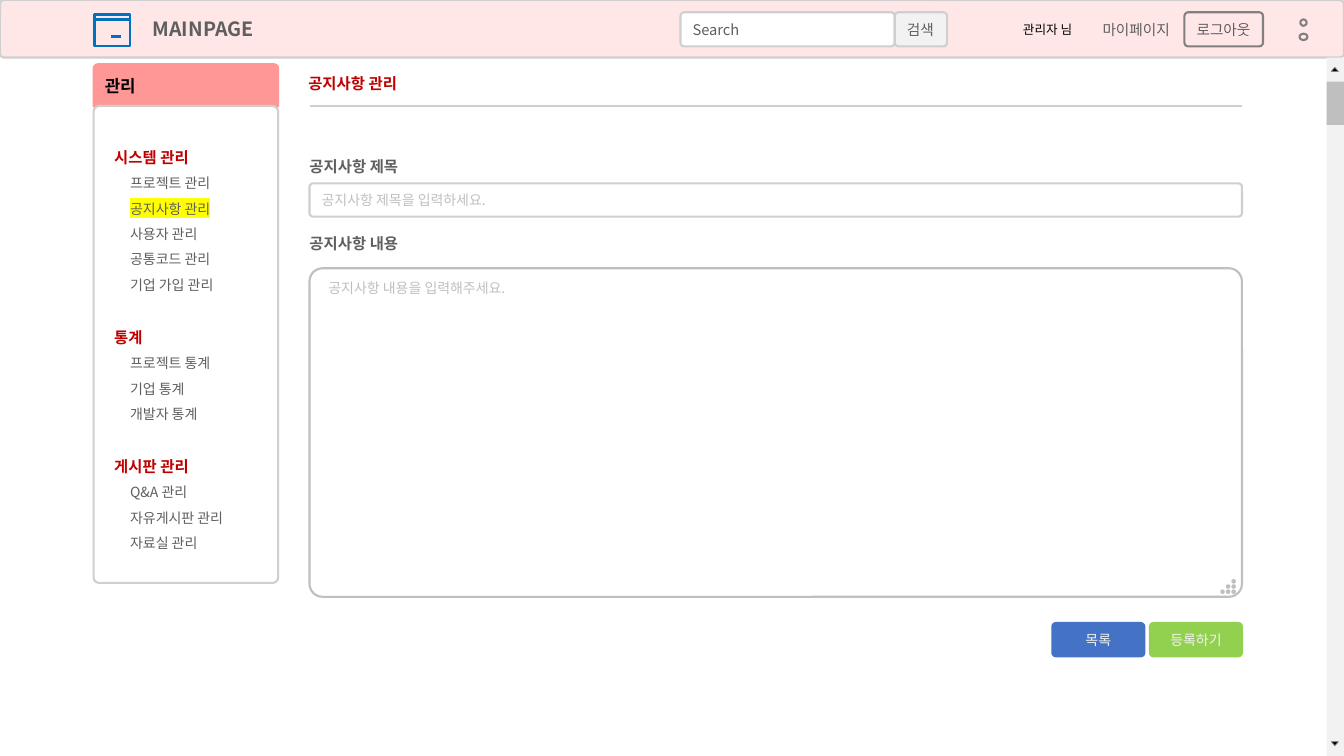
from lxml import etree
from pptx import Presentation
from pptx.dml.color import RGBColor
from pptx.enum.shapes import MSO_CONNECTOR, MSO_SHAPE
from pptx.enum.text import MSO_ANCHOR, PP_ALIGN
from pptx.oxml.ns import qn
from pptx.util import Cm, Pt

FONT = "Noto Sans CJK KR"
ROUND, RECT, TOP_ROUND = MSO_SHAPE.ROUNDED_RECTANGLE, MSO_SHAPE.RECTANGLE, MSO_SHAPE.ROUND_2_SAME_RECTANGLE
OVAL, TRIANGLE = MSO_SHAPE.OVAL, MSO_SHAPE.ISOSCELES_TRIANGLE
TOP, MIDDLE = MSO_ANCHOR.TOP, MSO_ANCHOR.MIDDLE
LEFT, CENTER = PP_ALIGN.LEFT, PP_ALIGN.CENTER

BLACK, WHITE = RGBColor(0, 0, 0), RGBColor(255, 255, 255)
TEXT = RGBColor(0x5F, 0x5F, 0x5F)
RED = RGBColor(0xC0, 0, 0)
SALMON = RGBColor(0xFF, 0x97, 0x97)
PINK = RGBColor(0xFF, 0xE7, 0xE7)
BORDER = RGBColor(0xD0, 0xCE, 0xCE)
SILVER = RGBColor(0xBF, 0xBF, 0xBF)
GRAY = RGBColor(0x80, 0x80, 0x80)
PALE = RGBColor(0xF2, 0xF2, 0xF2)
BLUE = RGBColor(0x44, 0x72, 0xC4)
GREEN = RGBColor(0x92, 0xD0, 0x50)
ICON_BLUE = RGBColor(0, 0x70, 0xC0)

MENU_TITLE = "관리"
MENU = [
    ("시스템 관리", ["프로젝트 관리", "공지사항 관리", "사용자 관리", "공통코드 관리", "기업 가입 관리"]),
    ("통계", ["프로젝트 통계", "기업 통계", "개발자 통계"]),
    ("게시판 관리", ["Q&A 관리", "자유게시판 관리", "자료실 관리"]),
]
CURRENT = "공지사항 관리"
# text, left, width, fill, line
HEADER_BOXES = [
    ("Search", 17.15, 5.4, WHITE, BORDER),
    ("검색", 22.55, 1.32, PALE, BORDER),
    ("로그아웃", 29.85, 1.98, PINK, GRAY),
    ("마이페이지", 27.48, 2.3, PINK, None),
]
BUTTONS = [("목록", 26.52, BLUE), ("등록하기", 28.98, GREEN)]
# text, top
FIELD_LABELS = [("공지사항 제목", 3.96), ("공지사항 내용", 5.89)]

SLIDE_W, SLIDE_H = 33.87, 19.05
HEADER_H = 1.45
MENU_X, MENU_W = 2.36, 4.65
MAIN_X, MAIN_W = 7.8, 23.5
BAR_X, BAR_W = 33.43, 0.44

prs = Presentation()
prs.slide_width, prs.slide_height = Cm(SLIDE_W), Cm(SLIDE_H)
s = prs.slides.add_slide(prs.slide_layouts[6])


def paint(sp, fill, line=None, width=1.5):
    sp.shadow.inherit = False
    sp.fill.solid()
    sp.fill.fore_color.rgb = fill
    if line is None:
        sp.line.fill.background()
    else:
        sp.line.color.rgb = line
        sp.line.width = Pt(width)


def shape(kind, x, y, w, h, fill, line=None, radius=None, width=1.5):
    """Radius is the corner radius as a share of the shorter side."""
    sp = s.shapes.add_shape(kind, Cm(x), Cm(y), Cm(w), Cm(h))
    paint(sp, fill, line, width)
    if radius is not None:
        sp.adjustments[0] = radius
    return sp


def set_frame(sp, anchor, insets, wrap=True):
    tf = sp.text_frame
    tf.word_wrap, tf.vertical_anchor = wrap, anchor
    tf.margin_left, tf.margin_top, tf.margin_right, tf.margin_bottom = map(Cm, insets)
    return tf


def style(p, size, color, bold=False, align=LEFT):
    p.alignment = align
    p.font.name, p.font.size, p.font.bold = FONT, Pt(size), bold
    p.font.color.rgb = color
    for r in p.runs:
        etree.SubElement(r.font._element, qn("a:ea"), typeface=FONT)


def write(sp, text, size, color, bold=False, align=LEFT, anchor=MIDDLE,
          insets=(0.28, 0.18, 0.28, 0.18), wrap=True):
    p = set_frame(sp, anchor, insets, wrap).paragraphs[0]
    p.text = text
    style(p, size, color, bold, align)


def label(text, x, y, w, h, size, color, bold=False, insets=(0.25, 0.13, 0.25, 0.13), wrap=True):
    sp = s.shapes.add_textbox(Cm(x), Cm(y), Cm(w), Cm(h))
    write(sp, text, size, color, bold, anchor=TOP, insets=insets, wrap=wrap)


def outline(points, fill, line, width, closed=True):
    fb = s.shapes.build_freeform(*points[0], scale=Cm(1))
    fb.add_line_segments(points[1:], close=closed)
    sp = fb.convert_to_shape()
    paint(sp, fill or WHITE, line, width)
    if fill is None:
        sp.fill.background()


def straight(x1, y1, x2, y2, color, width=1.5):
    c = s.shapes.add_connector(MSO_CONNECTOR.STRAIGHT, Cm(x1), Cm(y1), Cm(x2), Cm(y2))
    c.line.color.rgb, c.line.width = color, Pt(width)
    etree.SubElement(c._element.spPr, qn("a:effectLst"))


def highlight(r, color):
    mark = etree.Element(qn("a:highlight"))
    etree.SubElement(mark, qn("a:srgbClr"), val=color)
    r.font._element.find(qn("a:ea")).addprevious(mark)


# Side menu
sp = shape(TOP_ROUND, MENU_X, 1.62, MENU_W, 1.06, SALMON, SALMON, 0.1)
write(sp, MENU_TITLE, 12, BLACK, True, anchor=TOP, insets=(0.25, 0.25, 0.25, 0.25))
sp = shape(ROUND, MENU_X, 2.67, MENU_W, 12.02, WHITE, BORDER, 0.03)
tf = set_frame(sp, TOP, (0.48, 0.78, 0.48, 0.2))
p = tf.paragraphs[0]
for i, (group, items) in enumerate(MENU):
    if i:
        p = tf.add_paragraph()
        p.space_before = Pt(18)
    p.text = group
    p.line_spacing = Pt(19.9)
    style(p, 11, RED, True)
    for item in items:
        p = tf.add_paragraph()
        p.text = item
        p.line_spacing = Pt(18.1)
        p._p.get_or_add_pPr().set("marL", str(Cm(0.4)))
        style(p, 10, TEXT)
        if item == CURRENT:
            highlight(p.runs[0], "FFFF00")

# Header
sp = shape(ROUND, 0, 0, SLIDE_W, HEADER_H, PINK, BORDER, 0.07)
write(sp, "MAINPAGE", 14, TEXT, True, insets=(3.82, 0.13, 0.35, 0.13))
for text, x, w, fill, line in HEADER_BOXES:
    sp = shape(ROUND, x, 0.31, w, 0.86, fill, line, 0.11)
    write(sp, text, 10.5, TEXT, wrap=text == "Search")
label("관리자 님", 25.53, 0.43, 2.18, 0.64, 9, BLACK)

# Terminal icon
shape(RECT, 2.38, 0.37, 0.9, 0.79, PINK, ICON_BLUE, width=2)
straight(2.38, 0.5, 3.28, 0.5, ICON_BLUE, 2)
outline([(2.63, 0.67), (2.76, 0.79), (2.63, 0.91)], None, ICON_BLUE, 2, closed=False)
straight(2.8, 0.92, 3.04, 0.92, ICON_BLUE, 2)

# Bell icon
shape(OVAL, 32.75, 0.85, 0.2, 0.16, PINK, GRAY)
shape(OVAL, 32.77, 0.49, 0.16, 0.16, PINK, GRAY)
outline([(32.64, 0.89), (32.72, 0.78), (32.74, 0.62), (32.79, 0.57), (32.85, 0.55), (32.91, 0.57),
         (32.96, 0.62), (32.98, 0.78), (33.06, 0.89)], PINK, GRAY, 1.5)

# Scroll bar
shape(RECT, BAR_X, HEADER_H, BAR_W, SLIDE_H - HEADER_H, PALE)
shape(RECT, BAR_X, 2.06, BAR_W, 1.09, SILVER)
for y, turn in ((1.7, 0), (18.69, 180)):
    shape(TRIANGLE, 33.55, y, 0.18, 0.1, BLACK, GRAY, width=0.5).rotation = turn

# Notice form
label(CURRENT, 7.52, 1.75, 4.39, 0.74, 11, RED, True)
straight(MAIN_X, 2.67, MAIN_X + MAIN_W, 2.67, BORDER)
for text, y in FIELD_LABELS:
    label(text, MAIN_X, y, 2.34, 0.53, 11, TEXT, True, insets=(0, 0, 0, 0), wrap=False)
sp = shape(ROUND, MAIN_X, 4.62, MAIN_W, 0.84, WHITE, BORDER, 0.11)
write(sp, "공지사항 제목을 입력하세요.", 10, SILVER)
sp = shape(ROUND, MAIN_X, 6.76, MAIN_W, 8.28, WHITE, SILVER, 0.04)
write(sp, "공지사항 내용을 입력해주세요.", 10, SILVER, anchor=TOP, insets=(0.38, 0.18, 0.28, 0.18))
for row in range(3):
    for col in range(2 - row, 3):
        shape(OVAL, 30.78 + 0.14 * col, 14.62 + 0.13 * row, 0.06, 0.06, WHITE, SILVER)

for text, x, color in BUTTONS:
    sp = shape(ROUND, x, 15.7, 2.32, 0.84, color, color, 0.11)
    write(sp, text, 10, PALE, align=CENTER)

prs.save("out.pptx")
